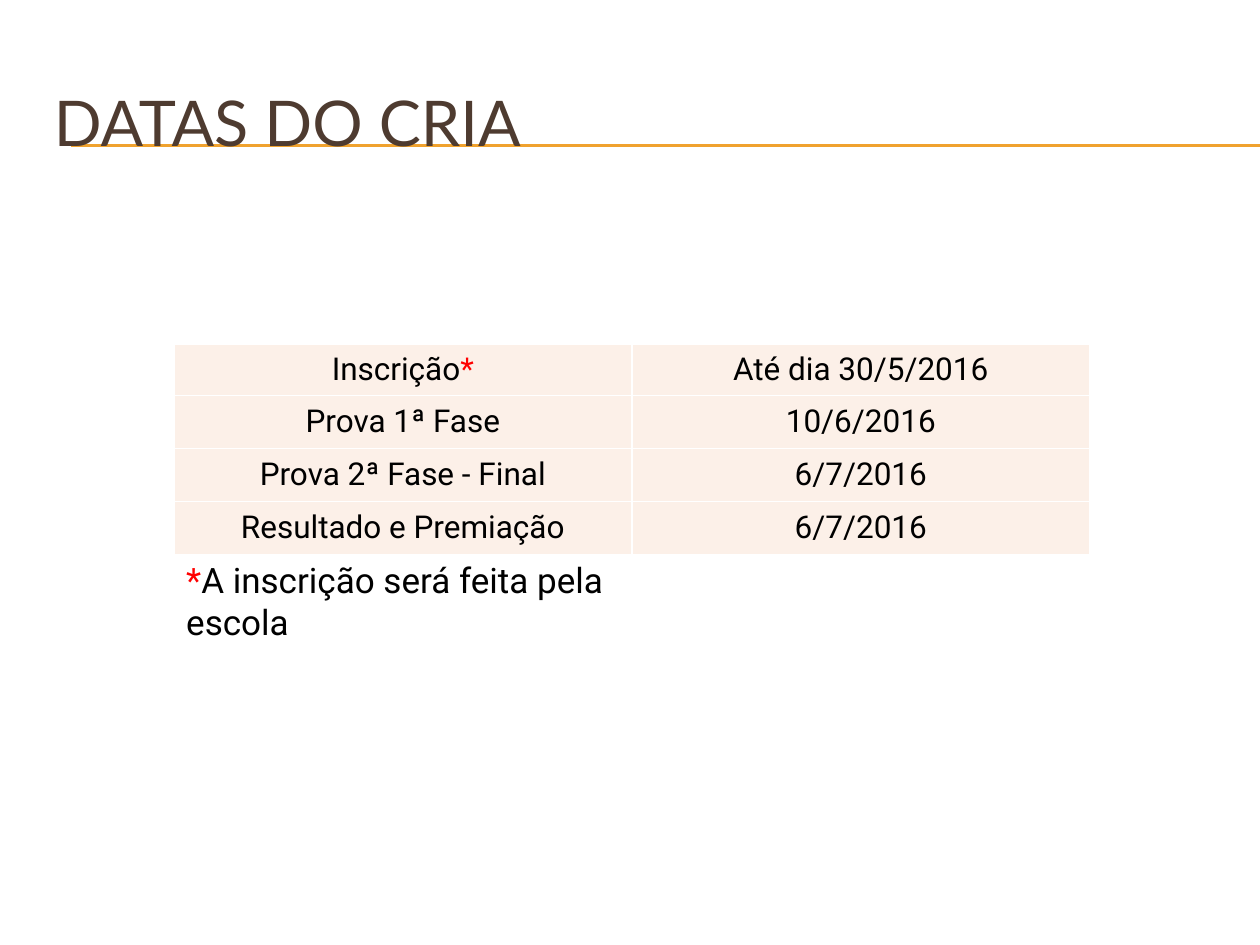
from typing import NamedTuple

from lxml.etree import SubElement
from pptx import Presentation
from pptx.dml.color import RGBColor
from pptx.enum.shapes import MSO_CONNECTOR
from pptx.enum.text import MSO_ANCHOR, PP_ALIGN
from pptx.oxml.ns import qn
from pptx.util import Inches, Pt

WIDTH, HEIGHT = 10, 7.5
COLORS = {"title": "4E3B30", "rule": "F0A22E", "cell": "FCF0E8",
          "text": "000000", "mark": "FF0000", "border": "FFFFFF"}
MARK = "*"


class Box(NamedTuple):
    """Position and size in inches."""
    left: float
    top: float
    width: float
    height: float

    def lengths(self) -> list:
        return [Inches(value) for value in self]


class Event(NamedTuple):
    name: str
    date: str


TITLE_BOX = Box(0.33, 0.5, 0.95 * WIDTH, 0.92)
TABLE_BOX = Box(1.38, 2.73, 7.27, 1.64)
NOTE_BOX = Box(TABLE_BOX.left, 4.38, 4.24, 0.44)
EVENTS = [
    Event("Inscrição*", "Até dia 30/5/2016"),
    Event("Prova 1ª Fase", "10/6/2016"),
    Event("Prova 2ª Fase - Final", "6/7/2016"),
    Event("Resultado e Premiação", "6/7/2016"),
]


def color(name: str) -> RGBColor:
    return RGBColor.from_string(COLORS[name])


def write(paragraph, text: str, size: float, font: str = "Roboto",
          text_color: str = "text") -> None:
    """Fill a paragraph, giving each asterisk the mark colour."""
    paragraph.font.size = Pt(size)
    paragraph.font.name = font
    before, mark, after = text.partition(MARK)
    for part in filter(None, (before, mark, after)):
        run = paragraph.add_run()
        run.text = part
        run.font.color.rgb = color("mark" if part == MARK else text_color)


def add_text(slide, box: Box, text: str, size: float, **style):
    frame = slide.shapes.add_textbox(*box.lengths()).text_frame
    frame.word_wrap = True
    write(frame.paragraphs[0], text, size, **style)
    return frame


def add_rule(slide, top: float) -> None:
    line = slide.shapes.add_connector(
        MSO_CONNECTOR.STRAIGHT, Inches(0.56), Inches(top), Inches(WIDTH), Inches(top))
    line.line.color.rgb = color("rule")
    line.line.width = Pt(0.75)
    SubElement(line._element.spPr, qn("a:effectLst"))


def style_cell(cell, inset: bool) -> None:
    cell.vertical_anchor = MSO_ANCHOR.MIDDLE
    if inset:
        cell.margin_left = cell.margin_right = Inches(0.25)
        cell.margin_top = cell.margin_bottom = Inches(0.06)
    # Borders come before the fill in the cell properties
    properties = cell._tc.get_or_add_tcPr()
    for side in ("lnL", "lnR", "lnT", "lnB"):
        border = SubElement(properties, qn(f"a:{side}"), w=str(Pt(1)))
        fill = SubElement(border, qn("a:solidFill"))
        SubElement(fill, qn("a:srgbClr"), val=COLORS["border"])
    cell.fill.solid()
    cell.fill.fore_color.rgb = color("cell")


def add_dates(slide, box: Box, events: list[Event]) -> None:
    columns = len(Event._fields)
    table = slide.shapes.add_table(len(events), columns, *box.lengths()).table
    table.first_row = table.horz_banding = False
    for row, event in enumerate(events):
        for column, text in enumerate(event):
            cell = table.cell(row, column)
            style_cell(cell, inset=row > 0)
            paragraph = cell.text_frame.paragraphs[0]
            paragraph.alignment = PP_ALIGN.CENTER
            write(paragraph, text, 18)


def main() -> None:
    presentation = Presentation()
    presentation.slide_width, presentation.slide_height = Inches(WIDTH), Inches(HEIGHT)
    slide = presentation.slides.add_slide(presentation.slide_layouts[6])

    # Double rule behind the title
    for top in (1.15, 1.16):
        add_rule(slide, top)
    title = add_text(slide, TITLE_BOX, "DATAS DO CRIA", 36, font="Lato", text_color="title")
    title.vertical_anchor = MSO_ANCHOR.MIDDLE

    # Dates and their footnote
    add_dates(slide, TABLE_BOX, EVENTS)
    add_text(slide, NOTE_BOX, "*A inscrição será feita pela escola", 20)

    presentation.save("out.pptx")


if __name__ == "__main__":
    main()
